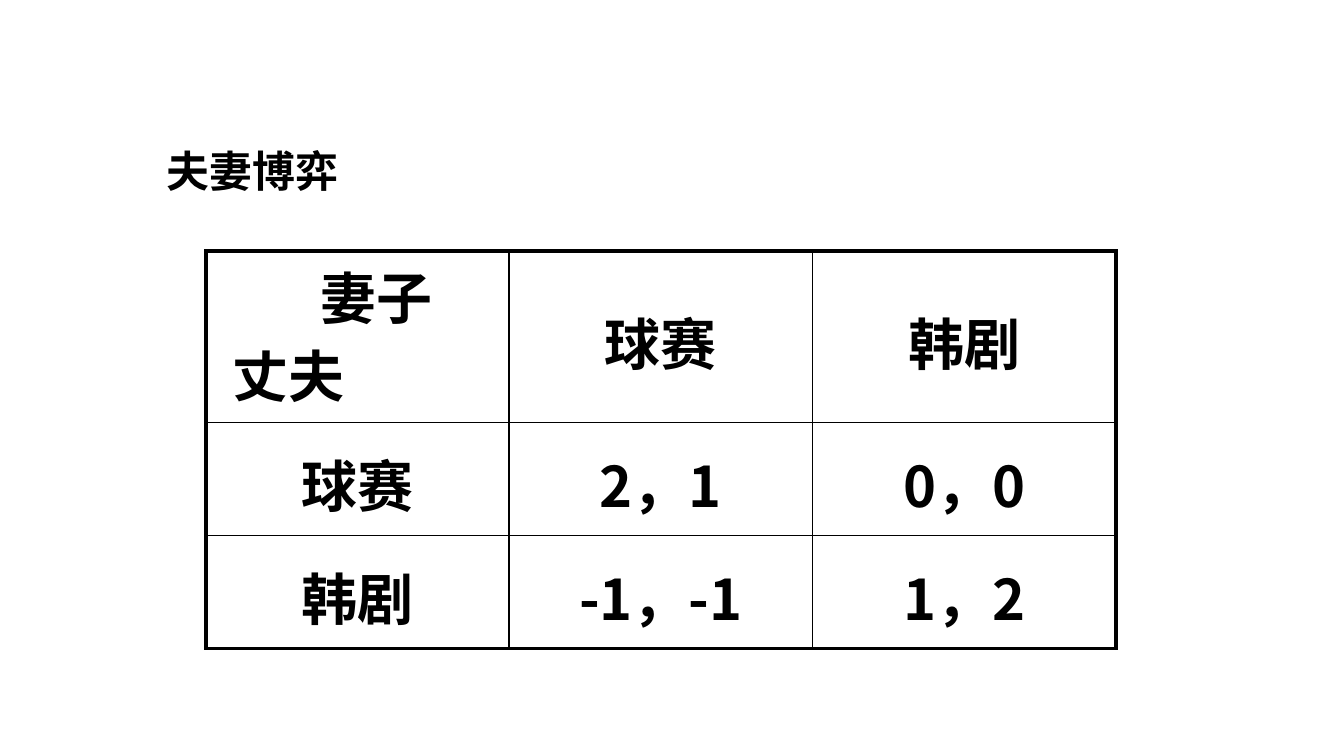
from pptx import Presentation
from pptx.dml.color import RGBColor
from pptx.enum import text
from pptx.oxml import parse_xml
from pptx.oxml.ns import nsdecls
from pptx.util import Pt

TITLE = "夫妻博弈"
WIFE, HUSBAND = "妻子", "丈夫"
PAYOFFS = [
    [WIFE, "球赛", "韩剧"],
    ["球赛", "2，1", "0，0"],
    ["韩剧", "-1，-1", "1，2"],
]
ROW_HEIGHTS = [92, 60.5, 60.5]
COLUMN_WIDTH = 162.5
FONT = "Noto Sans CJK SC"
BLACK = RGBColor(0, 0, 0)
THICK, THIN = Pt(2.25), Pt(1)


def style(paragraph, size, spacing):
    font = paragraph.font
    font.name, font.size, font.bold = FONT, Pt(size), True
    font.color.rgb = BLACK
    paragraph.line_spacing = spacing
    for run in paragraph.runs:
        properties = run._r.get_or_add_rPr()
        properties.append(parse_xml(f'<a:ea {nsdecls("a")} typeface="{FONT}"/>'))


def style_entry(paragraph, align, spacing=1.1, before=6, indent=0):
    style(paragraph, 30, spacing)
    paragraph.alignment = align
    paragraph.space_before = Pt(before)
    if indent:
        properties = paragraph._p.get_or_add_pPr()
        properties.set("marL", str(Pt(indent)))
        properties.set("indent", "0")


def fill_corner(frame):
    wife, husband = frame.paragraphs[0], frame.add_paragraph()
    wife.text, husband.text = WIFE, HUSBAND
    style_entry(wife, text.PP_ALIGN.CENTER, 0.9, 0, 20)
    style_entry(husband, text.PP_ALIGN.LEFT, 0.9, 3, 7)


def set_borders(cell, row, column):
    last = len(PAYOFFS) - 1
    outer = {"L": column == 0, "R": column == last, "T": row == 0, "B": row == last}
    properties = cell._tc.get_or_add_tcPr()
    for position, (side, is_outer) in enumerate(outer.items()):
        properties.insert(position, parse_xml(
            f'<a:ln{side} {nsdecls("a")} w="{THICK if is_outer else THIN}">'
            f'<a:solidFill><a:srgbClr val="{BLACK}"/></a:solidFill></a:ln{side}>'))


prs = Presentation()
prs.slide_width, prs.slide_height = Pt(720), Pt(405)
slide = prs.slides.add_slide(prs.slide_layouts[6])

title = slide.shapes.add_textbox(Pt(82), Pt(21), Pt(567), Pt(80)).text_frame
title.word_wrap = True
title.margin_top = Pt(44)
title.margin_bottom = 0
title.text = TITLE
style(title.paragraphs[0], 23, 1.5)

size = len(PAYOFFS)
matrix = slide.shapes.add_table(
    size, size, Pt(110.3), Pt(134.4), Pt(COLUMN_WIDTH * size), Pt(sum(ROW_HEIGHTS))).table
for column in matrix.columns:
    column.width = Pt(COLUMN_WIDTH)
for row, height in zip(matrix.rows, ROW_HEIGHTS):
    row.height = Pt(height)

for r, entries in enumerate(PAYOFFS):
    for c, entry in enumerate(entries):
        cell = matrix.cell(r, c)
        cell.fill.background()
        cell.vertical_anchor = text.MSO_ANCHOR.MIDDLE
        set_borders(cell, r, c)
        if r == c == 0:
            fill_corner(cell.text_frame)
        else:
            cell.text = entry
            style_entry(cell.text_frame.paragraphs[0], text.PP_ALIGN.CENTER)

prs.save("out.pptx")
